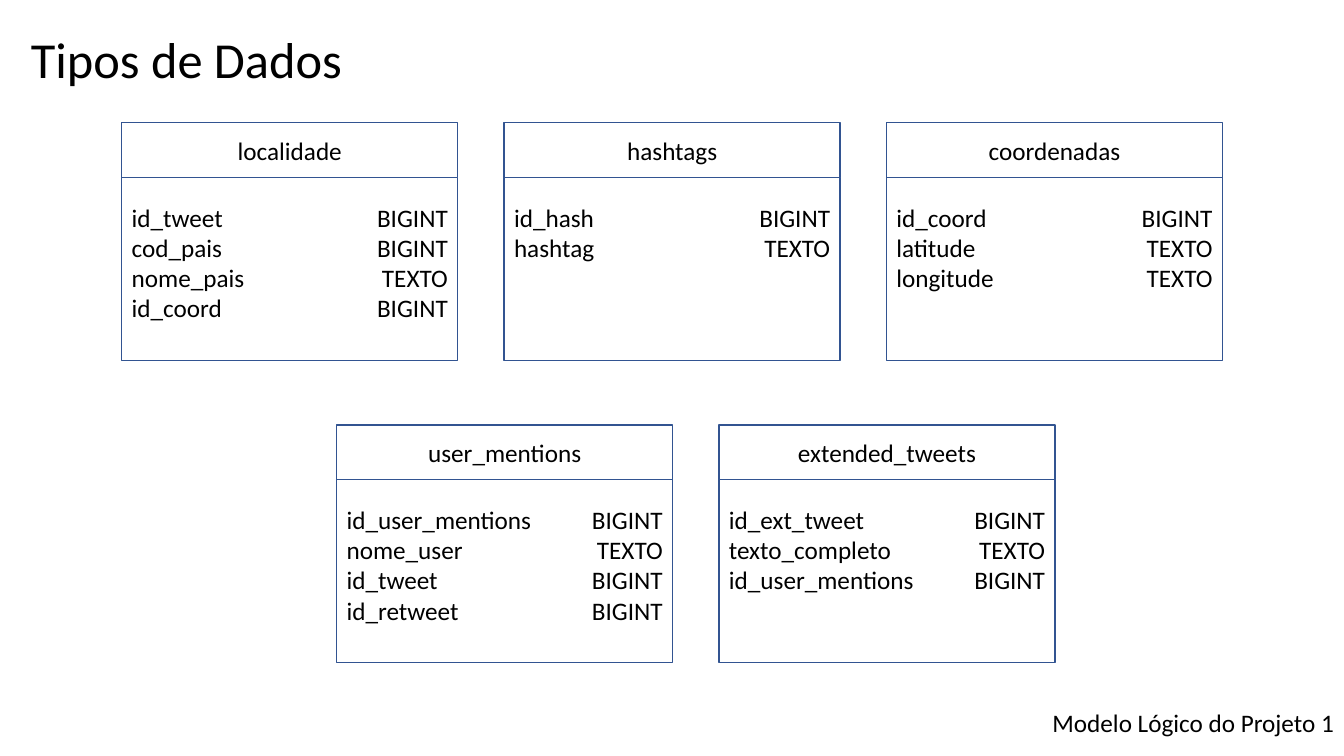
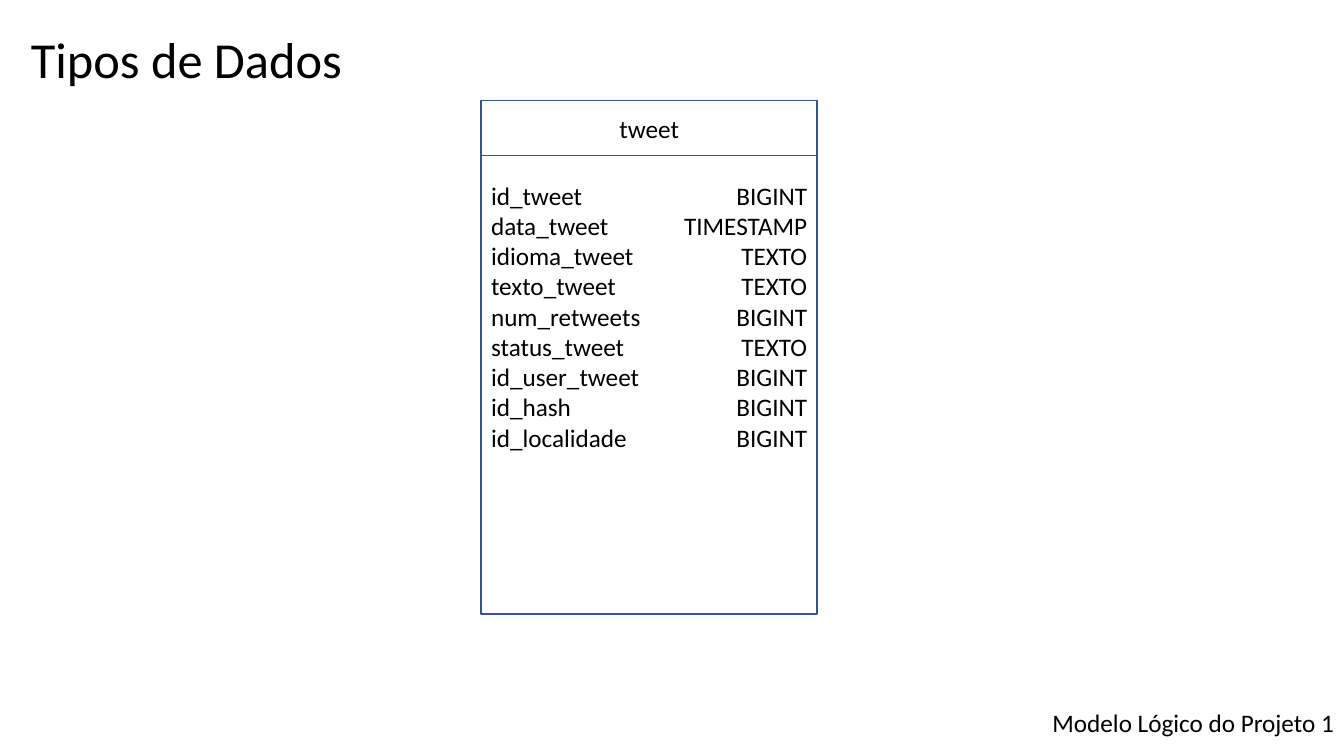
import pptx
import pptx.dml.color
import pptx.enum.shapes
import pptx.enum.text
import pptx.util

Pt = pptx.util.Pt
ALIGN = pptx.enum.text.PP_ALIGN
ANCHOR = pptx.enum.text.MSO_ANCHOR

TITLE = "Tipos de Dados"
FOOTER = "Modelo Lógico do Projeto 1"
FONT, BLACK, WHITE, BLUE = "Calibri", "000000", "FFFFFF", "325491"

LOCALIDADE = ("localidade", [
    ("id_tweet", "BIGINT"), ("cod_pais", "BIGINT"),
    ("nome_pais", "TEXTO"), ("id_coord", "BIGINT")])
HASHTAGS = ("hashtags", [("id_hash", "BIGINT"), ("hashtag", "TEXTO")])
COORDENADAS = ("coordenadas", [
    ("id_coord", "BIGINT"), ("latitude", "TEXTO"), ("longitude", "TEXTO")])
USER_MENTIONS = ("user_mentions", [
    ("id_user_mentions", "BIGINT"), ("nome_user", "TEXTO"),
    ("id_tweet", "BIGINT"), ("id_retweet", "BIGINT")])
EXTENDED_TWEETS = ("extended_tweets", [
    ("id_ext_tweet", "BIGINT"), ("texto_completo", "TEXTO"),
    ("id_user_mentions", "BIGINT")])
TWEET = ("tweet", [
    ("id_tweet", "BIGINT"), ("data_tweet", "TIMESTAMP"),
    ("idioma_tweet", "TEXTO"), ("texto_tweet", "TEXTO"),
    ("num_retweets", "BIGINT"), ("status_tweet", "TEXTO"),
    ("id_user_tweet", "BIGINT"), ("id_hash", "BIGINT"),
    ("id_localidade", "BIGINT")])

# Each slide is a list of rows: left, top, body height, entities
SLIDES = [
    [(87, 87.7, 130.7, [LOCALIDADE, HASHTAGS, COORDENADAS]),
     (240.5, 303.7, 130.7, [USER_MENTIONS, EXTENDED_TWEETS])],
    [(343.7, 72, 327.6, [TWEET])],
]

SLIDE_W, SLIDE_H = 960, 540
ENTITY_W, ENTITY_GAP, HEADER_H = 240, 33.1, 39
NAMES_W, TYPES_W = 166, 116
FIELDS_DROP, LINE_H, INSETS_H = 14, 21.6, 7.2


def color(hex_code):
    return pptx.dml.color.RGBColor.from_string(hex_code)


def write(frame, lines, size=18, align=ALIGN.LEFT, anchor=ANCHOR.TOP):
    frame.word_wrap = True
    frame.vertical_anchor = anchor
    frame.text = "\n".join(lines)
    for paragraph in frame.paragraphs:
        paragraph.alignment = align
        for run in paragraph.runs:
            run.font.name = FONT
            run.font.size = Pt(size)
            run.font.color.rgb = color(BLACK)


def add_text(slide, left, top, width, height, lines, **style):
    box = slide.shapes.add_textbox(Pt(left), Pt(top), Pt(width), Pt(height))
    write(box.text_frame, lines, **style)


def add_frame(slide, left, top, height):
    """Add an outlined white rectangle as wide as an entity."""
    frame = slide.shapes.add_shape(
        pptx.enum.shapes.MSO_SHAPE.RECTANGLE,
        Pt(left), Pt(top), Pt(ENTITY_W), Pt(height))
    frame.shadow.inherit = False
    frame.fill.solid()
    frame.fill.fore_color.rgb = color(WHITE)
    frame.line.color.rgb = color(BLUE)
    frame.line.width = Pt(1)
    return frame


def add_entity(slide, left, top, body_height, name, fields):
    header = add_frame(slide, left, top, HEADER_H)
    write(header.text_frame, [name], align=ALIGN.CENTER, anchor=ANCHOR.MIDDLE)
    body_top = top + HEADER_H
    add_frame(slide, left, body_top, body_height)

    names, types = zip(*fields)
    fields_top = body_top + FIELDS_DROP
    fields_height = len(fields) * LINE_H + INSETS_H
    add_text(slide, left, fields_top, NAMES_W, fields_height, names)
    add_text(slide, left + ENTITY_W - TYPES_W, fields_top, TYPES_W,
             fields_height, types, align=ALIGN.RIGHT)


def add_model_slide(deck, rows):
    slide = deck.slides.add_slide(deck.slide_layouts[6])
    add_text(slide, 384, 502, 576, 29, [FOOTER], align=ALIGN.RIGHT)
    for left, top, body_height, entities in rows:
        for column, (name, fields) in enumerate(entities):
            entity_left = left + column * (ENTITY_W + ENTITY_GAP)
            add_entity(slide, entity_left, top, body_height, name, fields)
    add_text(slide, 15, 16.5, 291, 51, [TITLE], size=36)


def main():
    deck = pptx.Presentation()
    deck.slide_width, deck.slide_height = Pt(SLIDE_W), Pt(SLIDE_H)
    for rows in SLIDES:
        add_model_slide(deck, rows)
    deck.save("out.pptx")


if __name__ == "__main__":
    main()
